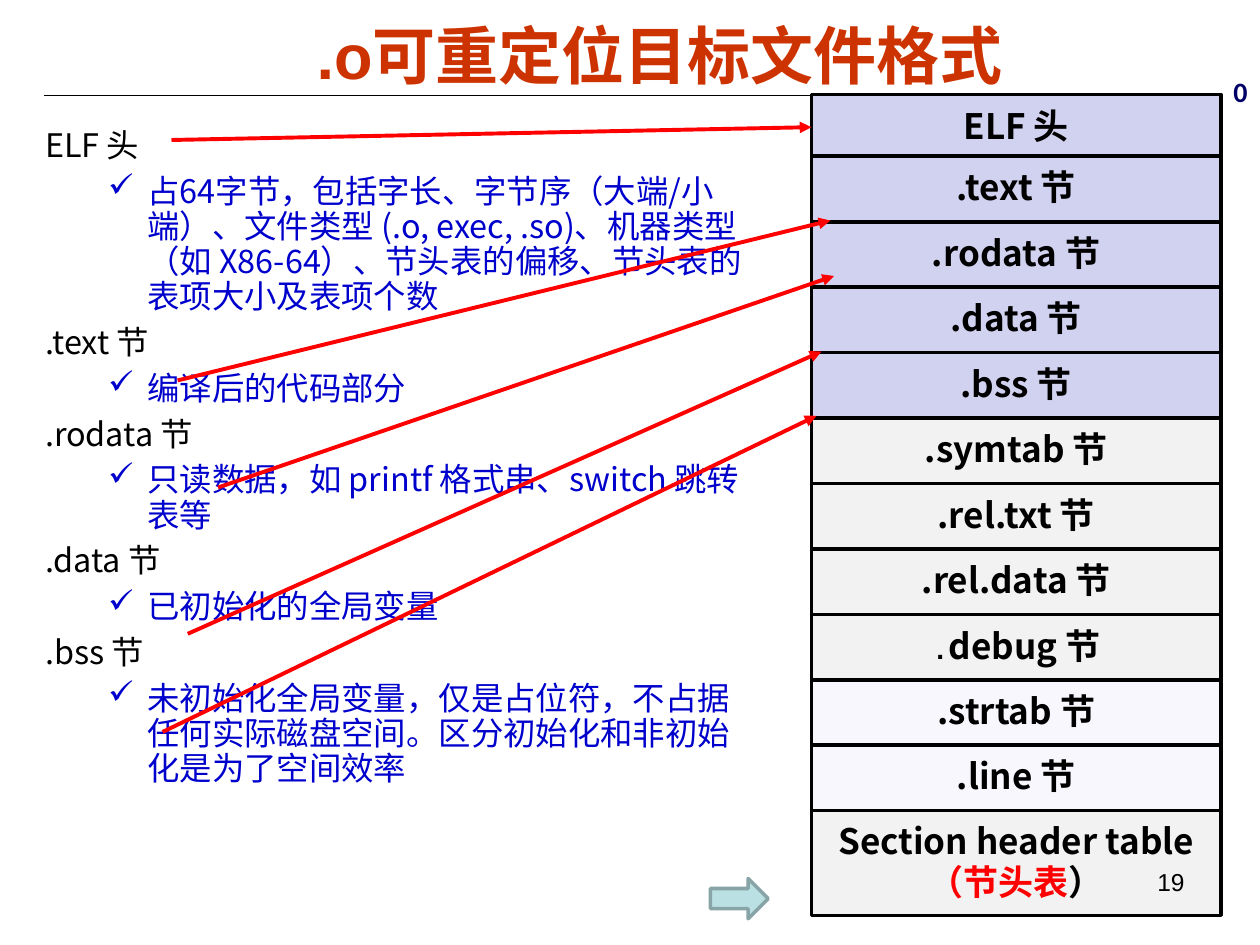
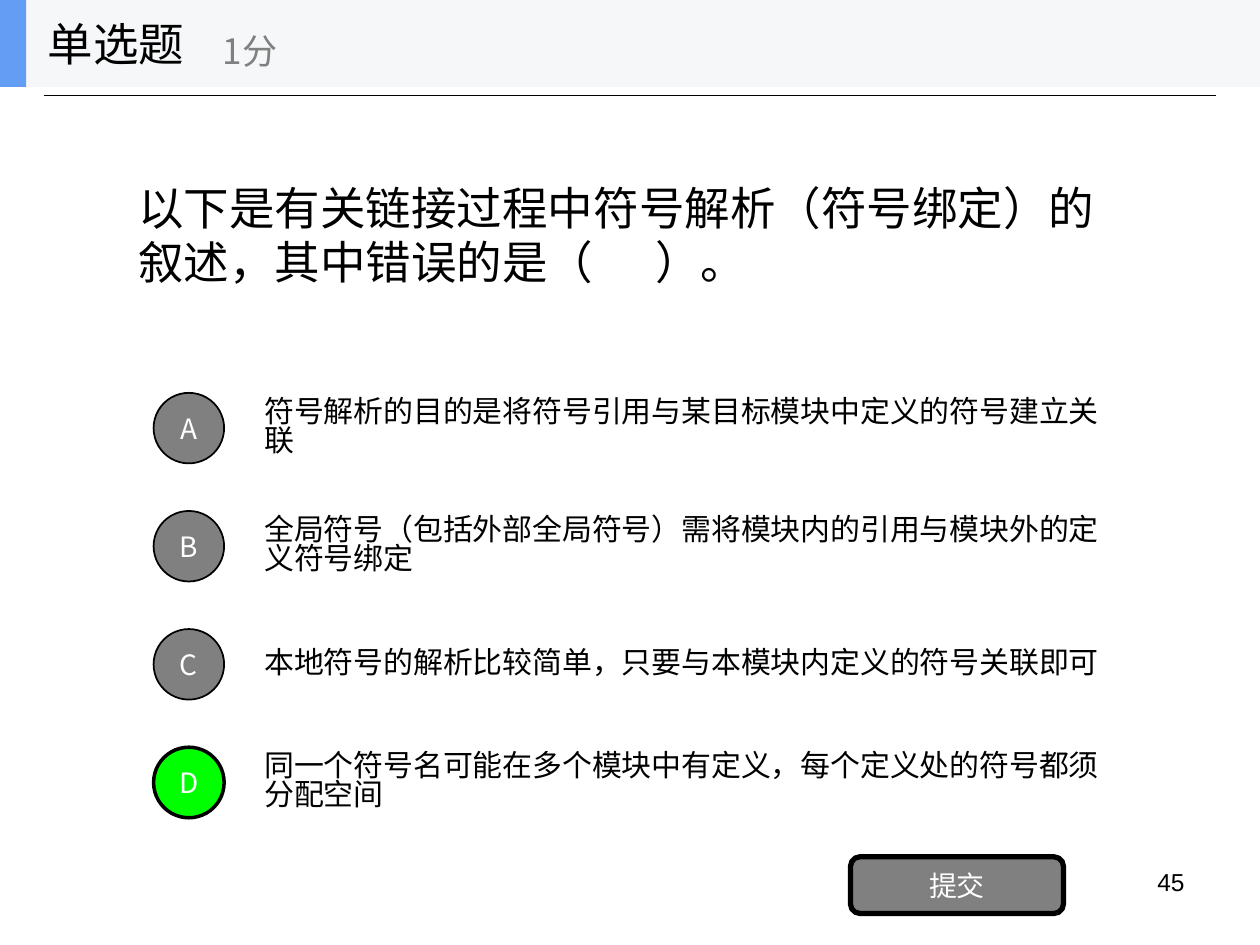
from lxml import etree
from pptx import Presentation
from pptx.dml.color import RGBColor
from pptx.enum.shapes import MSO_CONNECTOR, MSO_SHAPE
from pptx.enum.text import MSO_ANCHOR, MSO_AUTO_SIZE, PP_ALIGN
from pptx.oxml.ns import qn
from pptx.util import Pt

RECT, ELLIPSE = MSO_SHAPE.RECTANGLE, MSO_SHAPE.OVAL
ROUND, ARROW = MSO_SHAPE.ROUNDED_RECTANGLE, MSO_SHAPE.RIGHT_ARROW
STRAIGHT = MSO_CONNECTOR.STRAIGHT
TOP, MIDDLE = MSO_ANCHOR.TOP, MSO_ANCHOR.MIDDLE
LEFT, CENTER, RIGHT = PP_ALIGN.LEFT, PP_ALIGN.CENTER, PP_ALIGN.RIGHT

BLACK = RGBColor(0x00, 0x00, 0x00)
WHITE = RGBColor(0xFF, 0xFF, 0xFF)
RED = RGBColor(0xFF, 0x00, 0x00)
BLUE = RGBColor(0x00, 0x00, 0xCC)
NAVY = RGBColor(0x00, 0x00, 0x66)
RUST = RGBColor(0xCC, 0x33, 0x00)
GRAY = RGBColor(0x80, 0x80, 0x80)
GREEN = RGBColor(0x00, 0xFF, 0x00)
LAVENDER = RGBColor(0xD1, 0xD1, 0xF0)
PALE_LAVENDER = RGBColor(0xD6, 0xD6, 0xF5)
LIGHT_GRAY = RGBColor(0xF2, 0xF2, 0xF2)
HEADER_GRAY = RGBColor(0xF6, 0xF7, 0xF8)
HEADER_BLUE = RGBColor(0x63, 0x9E, 0xF4)
TEAL = RGBColor(0xBB, 0xE0, 0xE3)
TEAL_EDGE = RGBColor(0x89, 0xA4, 0xA7)
NOTO = "Noto Sans CJK SC"


def add_run(p, text, size, color=BLACK, bold=False, font=NOTO):
    r = p.add_run()
    r.text = text
    r.font.size = Pt(size)
    r.font.bold = bold
    r.font.color.rgb = color
    r.font.name = font
    etree.SubElement(r._r.get_or_add_rPr(), qn("a:ea")).set("typeface", NOTO)
    return r


def add_box(s, x, y, w, h, preset=None, fill=None, line=None, width=0, anchor=MIDDLE, align=LEFT):
    at = Pt(x), Pt(y), Pt(w), Pt(h)
    if preset is None:
        sp = s.shapes.add_textbox(*at)
    else:
        sp = s.shapes.add_shape(preset, *at)
        sp.shadow.inherit = False
        sp.fill.solid()
        sp.fill.fore_color.rgb = fill
        if line is None:
            sp.line.fill.background()
        else:
            sp.line.color.rgb = line
            sp.line.width = Pt(width)
    tf = sp.text_frame
    tf.word_wrap = True
    tf.vertical_anchor = anchor
    tf.paragraphs[0].alignment = align
    return sp


prs = Presentation()
prs.slide_width, prs.slide_height = Pt(720), Pt(540)

titles = [
    (".o可重定位目标文件格式", (34, 0, 686, 62), 36, RUST, True, "Arial", CENTER),
    ("单选题", (20, 0, 150, 50), 26, BLACK, False, NOTO, LEFT),
]
for (text, at, size, color, bold, font, align), number in zip(titles, ("19", "45")):
    s = prs.slides.add_slide(prs.slide_layouts[5])
    title = s.shapes.title
    title.left, title.top, title.width, title.height = [Pt(v) for v in at]
    tf = title.text_frame
    tf.auto_size = MSO_AUTO_SIZE.NONE
    tf.word_wrap = True
    tf.vertical_anchor = MIDDLE
    tf.paragraphs[0].alignment = align
    add_run(tf.paragraphs[0], text, size, color, bold, font)

    rule = s.shapes.add_connector(STRAIGHT, Pt(25), Pt(54.7), Pt(695), Pt(54.7))
    rule.line.color.rgb = BLACK
    rule.line.width = Pt(0.75)
    etree.SubElement(rule._element.spPr, qn("a:effectLst"))
    if number == "45":
        for width, fill in ((720, HEADER_GRAY), (15, HEADER_BLUE)):
            band = add_box(s, 0, 0, width, 49.7, RECT, fill)
            title.element.addprevious(band.element)

    if number == "19":
        sections = [
            ("ELF 头", "占64字节，包括字长、字节序（大端/小端）、文件类型 (.o, exec, .so)、"
             "机器类型（如 X86-64）、节头表的偏移、节头表的表项大小及表项个数"),
            (".text 节", "编译后的代码部分"),
            (".rodata 节", "只读数据，如 printf 格式串、switch 跳转表等"),
            (".data 节", "已初始化的全局变量"),
            (".bss 节", "未初始化全局变量，仅是占位符，不占据任何实际磁盘空间。"
             "区分初始化和非初始化是为了空间效率"),
        ]
        tf = add_box(s, 18.7, 70.5, 421, 452, anchor=TOP).text_frame
        for i, (heading, detail) in enumerate(sections):
            p = tf.add_paragraph() if i else tf.paragraphs[0]
            p.line_spacing = 0.9
            p.space_before = Pt(6.2 if i else 0)
            add_run(p, heading, 18.5)
            p = tf.add_paragraph()
            p.level = 1
            pPr = p._p.get_or_add_pPr()
            pPr.set("marL", str(Pt(58.5)))
            pPr.set("indent", str(Pt(-22.5)))
            bu_clr = etree.SubElement(pPr, qn("a:buClr"))
            etree.SubElement(bu_clr, qn("a:srgbClr")).set("val", str(BLUE))
            etree.SubElement(pPr, qn("a:buChar")).set("char", "✓")
            p.line_spacing = 0.9
            p.space_before = Pt(6.2)
            add_run(p, detail, 18.5, BLUE)

        rows = [(name, LAVENDER) for name, detail in sections]
        rows += [(name, LIGHT_GRAY) for name in (".symtab 节", ".rel.txt 节", ".rel.data 节", "debug 节")]
        rows += [(name, PALE_LAVENDER) for name in (".strtab 节", ".line 节")]
        rows.append(("Section header table", LIGHT_GRAY))
        row_boxes = []
        for i, (name, fill) in enumerate(rows):
            top = 89.3 + 37.4 * (i - 1) if i else 54
            height = 59.8 if i == len(rows) - 1 else 37.4
            sp = add_box(s, 463.7, top, 234, height, RECT, fill, BLACK, 2, align=CENTER)
            p = sp.text_frame.paragraphs[0]
            p.line_spacing = 0.94
            if name == "debug 节":
                add_run(p, ".", 16, bold=True, font="Courier New")
            add_run(p, name, 20, bold=True)
            if fill == PALE_LAVENDER:
                clr = sp._element.spPr.find(qn("a:solidFill"))[0]
                etree.SubElement(clr, qn("a:alpha")).set("val", "19000")
            row_boxes.append(sp)
        p.line_spacing = 0.98
        p = row_boxes[-1].text_frame.add_paragraph()
        p.alignment = CENTER
        p.line_spacing = 0.98
        add_run(p, "（节头表", 20, RED, True)
        add_run(p, "）", 20, bold=True)

        sp = add_box(s, 697.7, 39, 22.3, 26, anchor=TOP)
        add_run(sp.text_frame.paragraphs[0], "0", 16, NAVY, True, "Calibri")

        arrows = [
            (98, 80, 463.7, 72.7),
            (101.5, 217.4, 474.5, 126),
            (124.6, 278.6, 476.6, 157.7),
            (107.3, 362.2, 469.4, 200.9),
            (92.9, 418.3, 466.6, 237.6),
        ]
        for i, ends in enumerate(arrows):
            c = s.shapes.add_connector(STRAIGHT, *[Pt(v) for v in ends])
            if i == 0:
                c.end_connect(row_boxes[0], 1)
            c.line.color.rgb = RED
            c.line.width = Pt(2.25)
            spPr = c._element.spPr
            etree.SubElement(spPr.find(qn("a:ln")), qn("a:tailEnd")).set("type", "triangle")
            etree.SubElement(spPr, qn("a:effectLst"))
        add_box(s, 406, 502, 33, 23, ARROW, TEAL, TEAL_EDGE, 2)

    else:
        sp = add_box(s, 120.2, 8.6, 180, 40.3)
        add_run(sp.text_frame.paragraphs[0], "1分", 20, GRAY)

        p = add_box(s, 72, 49.7, 576, 168.5).text_frame.paragraphs[0]
        add_run(p, "以下是有关链接过程中符号解析（符号绑定）的叙述，其中错误的是（", 26)
        gap = add_run(p, " ", 26)
        gap._r.get_or_add_rPr().set("spc", "2900")
        add_run(p, "）。", 26)

        options = [
            ("A", "符号解析的目的是将符号引用与某目标模块中定义的符号建立关联"),
            ("B", "全局符号（包括外部全局符号）需将模块内的引用与模块外的定义符号绑定"),
            ("C", "本地符号的解析比较简单，只要与本模块内定义的符号关联即可"),
            ("D", "同一个符号名可能在多个模块中有定义，每个定义处的符号都须分配空间"),
        ]
        for i, (letter, text) in enumerate(options):
            top = 219.5 + 67.5 * i
            p = add_box(s, 144, top, 504, 50.4).text_frame.paragraphs[0]
            p.line_spacing = 0.8
            add_run(p, text, 17.1)
            fill, width = (GREEN, 2) if letter == "D" else (GRAY, 1)
            sp = add_box(s, 87.8, top + 5, 40.3, 40.3, ELLIPSE, fill, BLACK, width, align=CENTER)
            add_run(sp.text_frame.paragraphs[0], letter, 16, WHITE)

        sp = add_box(s, 486, 489.6, 121.7, 32.4, ROUND, GRAY, BLACK, 3, align=CENTER)
        add_run(sp.text_frame.paragraphs[0], "提交", 16, WHITE)

    sp = add_box(s, 516, 492, 168, 37.4, anchor=TOP, align=RIGHT)
    add_run(sp.text_frame.paragraphs[0], number, 14, font="Arial")

prs.save("out.pptx")
